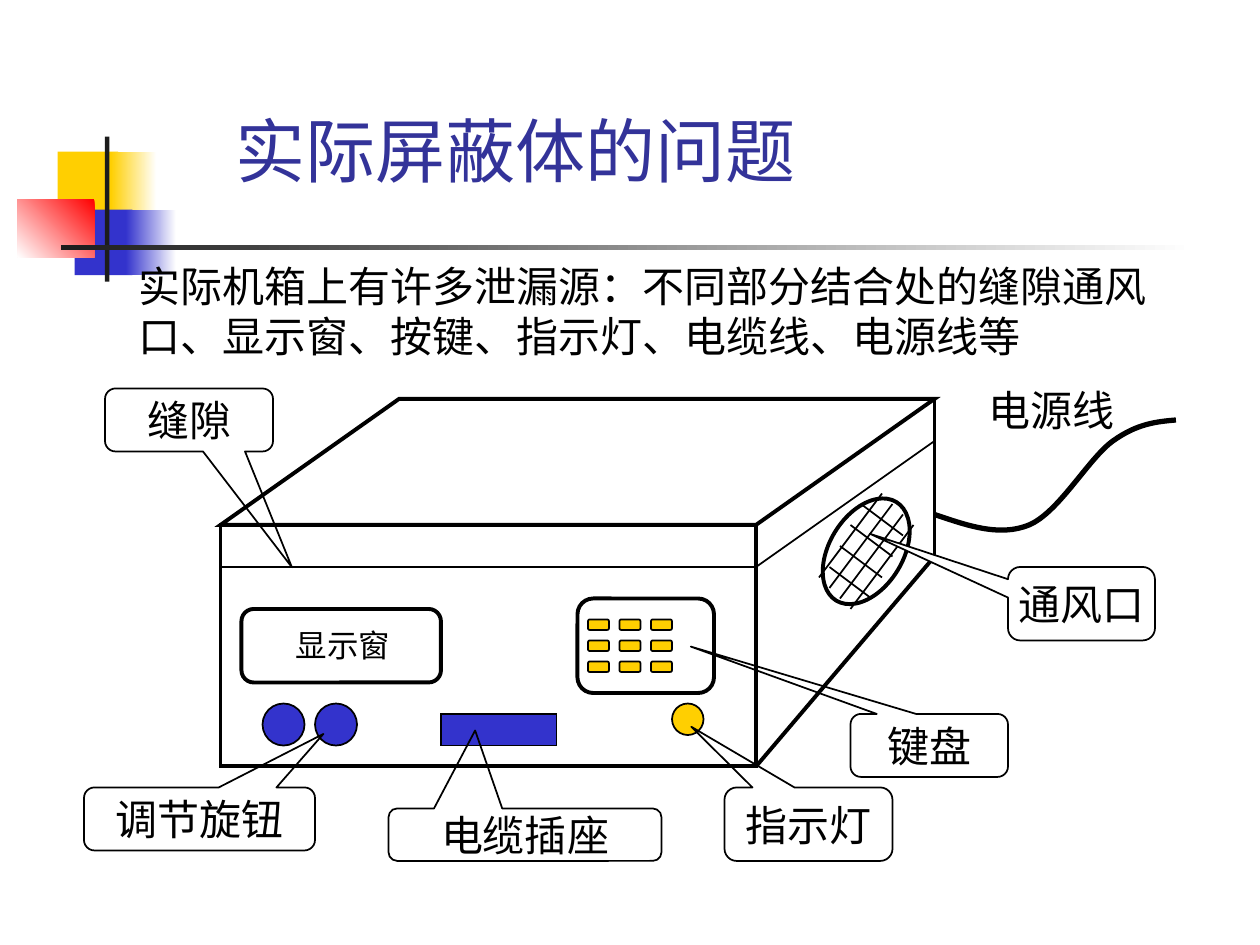
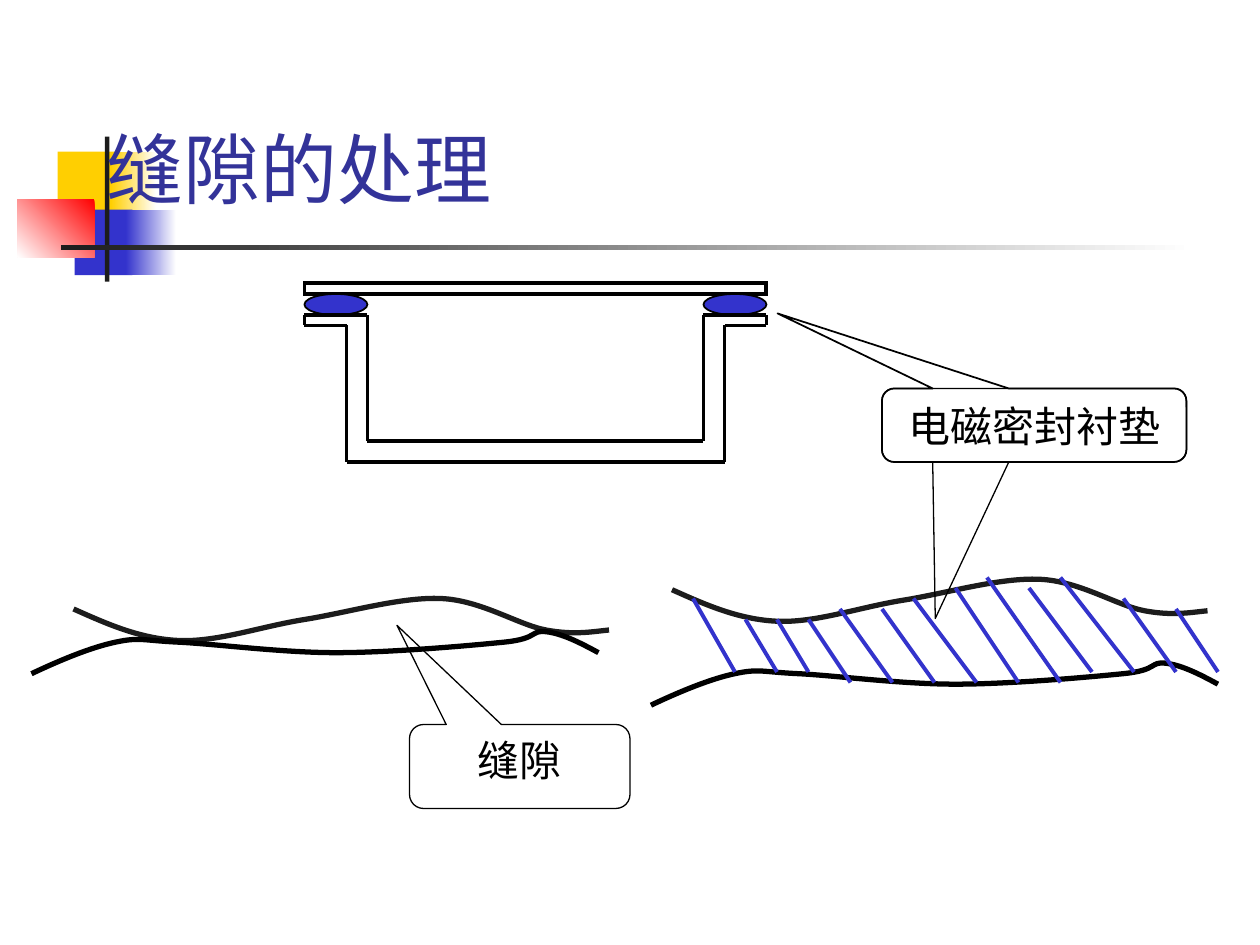
from dataclasses import dataclass

import lxml.etree
import pptx
import pptx.dml.color
import pptx.enum.shapes
import pptx.enum.text
import pptx.oxml
import pptx.oxml.ns
import pptx.util

Pt = pptx.util.Pt
qn = pptx.oxml.ns.qn
KIND = pptx.enum.shapes.MSO_SHAPE
ANCHOR = pptx.enum.text.MSO_ANCHOR
ALIGN = pptx.enum.text.PP_ALIGN


@dataclass(frozen=True)
class Theme:
    blue: str = "3333CC"
    yellow: str = "FFCF01"
    red: str = "FF0000"
    white: str = "FFFFFF"
    black: str = "000000"
    charcoal: str = "1C1C1C"
    title_color: str = "333399"
    title_font: str = "Cabin"
    body_font: str = "Times New Roman"
    body_size: int = 24
    small_size: int = 18
    thin: float = 1
    bold: float = 2.25
    heavy: float = 3


theme = Theme()


def paint(shape, fill=None, line=None, width=theme.thin):
    """Fill is a colour, a (start, end, angle) gradient or None."""
    rgb = pptx.dml.color.RGBColor.from_string
    if hasattr(shape, "fill"):
        if fill is None:
            shape.fill.background()
        elif isinstance(fill, str):
            shape.fill.solid()
            shape.fill.fore_color.rgb = rgb(fill)
        else:
            start, end, angle = fill
            shape.fill.gradient()
            shape.fill.gradient_angle = angle
            for stop, color, position in zip(shape.fill.gradient_stops, (start, end), (0, 1)):
                stop.color.rgb = rgb(color)
                stop.position = position
    if line:
        shape.line.color.rgb = rgb(line)
        shape.line.width = Pt(width)
    else:
        shape.line.fill.background()
    if hasattr(shape, "shadow"):
        shape.shadow.inherit = False
    else:
        lxml.etree.SubElement(shape.element.spPr, qn("a:effectLst"))


def write_text(shape, text, size=theme.body_size, font=theme.body_font, color=theme.black,
               align=ALIGN.LEFT, anchor=ANCHOR.TOP, wrap=True):
    frame = shape.text_frame
    frame.auto_size = pptx.enum.text.MSO_AUTO_SIZE.NONE
    frame.word_wrap = wrap
    frame.vertical_anchor = anchor
    paragraph = frame.paragraphs[0]
    paragraph.text = text
    paragraph.alignment = align
    paragraph.font.size = Pt(size)
    paragraph.font.name = font
    paragraph.font.color.rgb = pptx.dml.color.RGBColor.from_string(color)


presentation = pptx.Presentation()
presentation.slide_width, presentation.slide_height = Pt(720), Pt(540)
layout = presentation.slide_layouts[5]
problem_slide = presentation.slides.add_slide(layout)
gasket_slide = presentation.slides.add_slide(layout)

# Shared corner blocks and rules, kept on the master behind the title
decorations = [
    (33, 86.6, 34.5, 37.4, theme.yellow),
    (63.4, 86.6, 26, 37.4, (theme.yellow, theme.white, 0)),
    (42.7, 119.8, 33, 37.4, theme.blue),
    (72, 119.8, 28.8, 37.4, (theme.blue, theme.white, 0)),
    (10, 113.8, 44, 33.2, (theme.red, theme.white, 225)),
    (60, 78.1, 2.5, 82.8, theme.charcoal),
    (34.6, 140.2, 648, 2.5, (theme.charcoal, theme.white, 0)),
]
for index, (*box, fill) in enumerate(decorations):
    shape = problem_slide.shapes.add_shape(KIND.RECTANGLE, *map(Pt, box))
    paint(shape, fill)
    shape.element.nvSpPr.cNvPr.id = 100 + index
    presentation.slide_master.shapes.element.insert(2 + index, shape.element)

# Titles
for slide, text, size, box in [
    (problem_slide, "实际屏蔽体的问题", 40, (127.5, 57, 577, 56)),
    (gasket_slide, "缝隙的处理", 44, (53.6, 36, 612, 90)),
]:
    title = slide.shapes.title
    title.left, title.top, title.width, title.height = map(Pt, box)
    write_text(title, text, size=size, font=theme.title_font, color=theme.title_color,
               anchor=ANCHOR.BOTTOM)

# Cabinet parts on the first slide, lid and gaskets on the second
vent_box = (462, 294, 66, 42)
parts = [
    (problem_slide, KIND.RECTANGLE, (126, 300, 306, 138), theme.white, theme.bold),
    (problem_slide, KIND.PARALLELOGRAM, (126, 228, 408, 72), theme.white, theme.bold),
    (problem_slide, KIND.OVAL, vent_box, theme.white, theme.bold),
    (problem_slide, KIND.ROUNDED_RECTANGLE, (138, 348, 114, 42), theme.white, theme.bold),
    (problem_slide, KIND.ROUNDED_RECTANGLE, (330, 342, 78, 54), None, theme.bold),
    (problem_slide, KIND.OVAL, (384, 402, 18, 18), theme.yellow, theme.thin),
    (problem_slide, KIND.RECTANGLE, (252, 408, 66, 18), theme.blue, 0.75),
    (gasket_slide, KIND.RECTANGLE, (174, 162, 264, 6), None, theme.bold),
]
for row in range(3):
    for column in range(3):
        key_box = (336 + 18 * column, 354 + 12 * row, 12, 6)
        parts.append((problem_slide, KIND.ROUNDED_RECTANGLE, key_box, theme.yellow, theme.thin))
for knob_left in (150, 180):
    parts.append((problem_slide, KIND.OVAL, (knob_left, 402, 24, 24), theme.blue, theme.thin))
for gasket_left in (174, 402):
    parts.append((gasket_slide, KIND.OVAL, (gasket_left, 168, 36, 12), theme.blue, theme.thin))

for slide, kind, box, fill, width in parts:
    shape = slide.shapes.add_shape(kind, *map(Pt, box))
    paint(shape, fill, theme.black, width)
    outline = shape.element.spPr.find(qn("a:ln"))
    lxml.etree.SubElement(outline, qn("a:miter"), lim="800000")
    if kind == KIND.PARALLELOGRAM:
        shape.adjustments[0] = 102 / 72
    if box == vent_box:
        shape.rotation = 301.4

# Curves: a start point, then three Bezier points for each segment
cable = [(534, 294), (552, 300), (571, 307), (588, 300), (605, 293), (622, 262), (636, 252),
         (650, 242), (661, 241), (672, 240)]
upper_edge = [(42, 348), (61, 356.5), (80, 365), (102, 366), (124, 367), (149, 358), (174, 354),
              (199, 350), (229, 341), (252, 342), (275, 343), (296, 357), (312, 360),
              (328, 363), (338, 361), (348, 360)]
lower_edge = [(18, 385), (35, 377), (52, 370), (66, 367), (80, 364), (81, 366), (102, 367),
              (123, 368), (161, 373), (192, 373), (223, 373), (268, 369), (288, 367),
              (308, 365), (303, 360), (312, 361), (321, 362), (331, 367), (342, 373)]
for slide, points, shift_x, shift_y, color in [
    (problem_slide, cable, 0, 0, theme.black),
    (gasket_slide, upper_edge, 0, 0, theme.charcoal),
    (gasket_slide, lower_edge, 0, 0, theme.black),
    (gasket_slide, upper_edge, 342, -11, theme.charcoal),
    (gasket_slide, lower_edge, 354, 18, theme.black),
]:
    track = [(Pt(x + shift_x), Pt(y + shift_y)) for x, y in points]
    builder = slide.shapes.build_freeform(*track[0])
    builder.add_line_segments(track[1:], close=False)
    curve = builder.convert_to_shape()
    paint(curve, None, color, theme.heavy)
    # Turn every three straight segments into one Bezier segment
    segments = list(curve.element.iter(qn("a:lnTo")))
    outline = segments[0].getparent()
    for first in range(0, len(segments), 3):
        bezier = lxml.etree.SubElement(outline, qn("a:cubicBezTo"))
        for segment in segments[first:first + 3]:
            bezier.append(segment[0])
            outline.remove(segment)

# Cabinet side edges, lid seam and vent mesh
cabinet_edges = [(534, 228, 534, 318), (432, 438, 534, 318)]
fine_lines = [(126, 324, 432, 324), (432, 324, 534, 252)]
for i in range(4):
    fine_lines.append((504 + 6 * i, 282 + 6 * i, 468 + 6 * i, 330 + 6 * i))
    fine_lines.append((492 - 6 * i, 288 + 12 * i, 516 - 6 * i, 306 + 12 * i))

# Trough section, mirrored about its centre
trough_edges = [(198, 264, 414, 264), (210, 252, 402, 252)]
for x1, y1, x2, y2 in [(198, 186, 198, 264), (210, 180, 210, 252), (174, 186, 198, 186),
                       (174, 180, 210, 180), (174, 180, 174, 186)]:
    trough_edges += [(x1, y1, x2, y2), (612 - x1, y1, 612 - x2, y2)]

# Hatching of the gasket in the filled gap
gasket_hatch = [
    (396, 342, 420, 384), (426, 354, 444, 384), (444, 354, 462, 384), (462, 354, 486, 390),
    (480, 348, 510, 390), (504, 348, 534, 390), (522, 342, 558, 390), (546, 336, 582, 390),
    (564, 330, 606, 390), (588, 336, 624, 384), (606, 330, 648, 384), (642, 342, 672, 384),
    (672, 348, 696, 384),
]
for slide, lines, color, width in [
    (problem_slide, cabinet_edges, theme.black, theme.bold),
    (problem_slide, fine_lines, theme.black, theme.thin),
    (gasket_slide, trough_edges, theme.black, theme.bold),
    (gasket_slide, gasket_hatch, theme.blue, theme.bold),
]:
    for ends in lines:
        connector = slide.shapes.add_connector(
            pptx.enum.shapes.MSO_CONNECTOR.STRAIGHT, *map(Pt, ends))
        paint(connector, line=color, width=width)

# Callouts: box, then the point that the tail touches
for slide, text, box, tip, fill, width, anchor in [
    (problem_slide, "通风口", (576, 324, 84, 42), (497, 305), theme.white, 1, ANCHOR.MIDDLE),
    (problem_slide, "键盘", (486, 408, 90, 36), (394.7, 369.5), None, 1, ANCHOR.MIDDLE),
    (problem_slide, "指示灯", (414, 450, 96, 42), (395, 415.3), None, 1, ANCHOR.MIDDLE),
    (problem_slide, "电缆插座", (222, 462, 156, 30), (271.5, 417.4), None, 1, ANCHOR.MIDDLE),
    (problem_slide, "调节旋钮", (48, 450, 132, 36), (184.8, 419.4), None, 1, ANCHOR.MIDDLE),
    (problem_slide, "缝隙", (60, 222, 96, 36), (166.8, 324.2), None, 1, ANCHOR.MIDDLE),
    (gasket_slide, "电磁密封衬垫", (504, 222, 174, 42), (444.3, 179.1), None, 1, ANCHOR.MIDDLE),
    (gasket_slide, "", (504, 222, 174, 42), (534.5, 353.4), None, 0.75, ANCHOR.MIDDLE),
    (gasket_slide, "缝隙", (234, 414, 126, 48), (226.8, 357.3), None, 0.75, ANCHOR.TOP),
]:
    left, top, box_width, box_height = box
    callout = slide.shapes.add_shape(KIND.ROUNDED_RECTANGULAR_CALLOUT, *map(Pt, box))
    callout.adjustments[0] = (tip[0] - left) / box_width - 0.5
    callout.adjustments[1] = (tip[1] - top) / box_height - 0.5
    paint(callout, fill, theme.black, width)
    if text:
        write_text(callout, text, align=ALIGN.CENTER, anchor=anchor, wrap=anchor == ANCHOR.TOP)

# Free labels of the first slide
for text, size, box in [
    ("显示窗", theme.small_size, (162, 354, 78, 29)),
    ("实际机箱上有许多泄漏源：不同部分结合处的缝隙通风口、显示窗、按键、指示灯、电缆线、电源线等",
     theme.body_size, (72, 145.2, 594, 65)),
    ("电源线", theme.body_size, (558, 216, 96, 36)),
]:
    write_text(problem_slide.shapes.add_textbox(*map(Pt, box)), text, size=size)

presentation.save("out.pptx")
